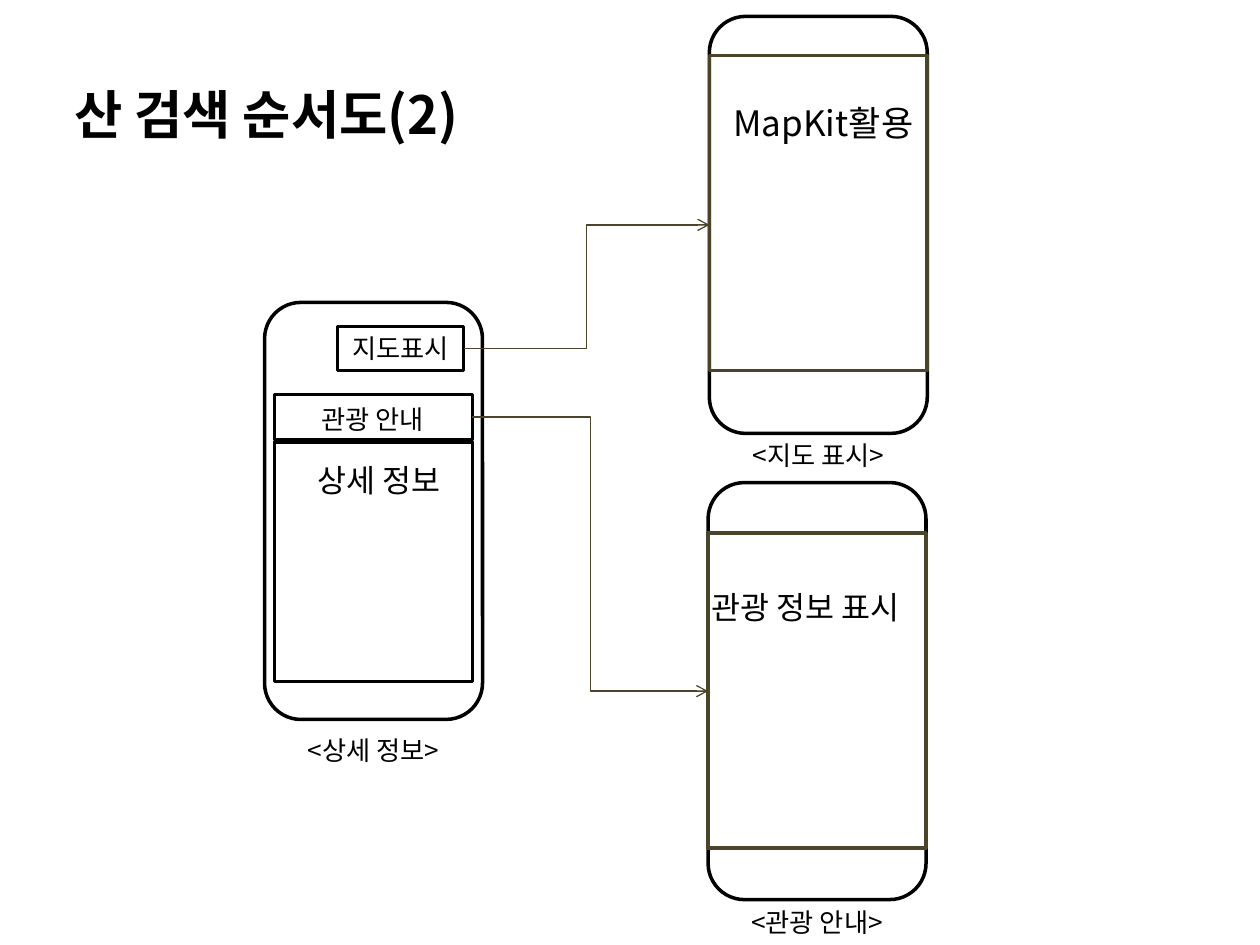
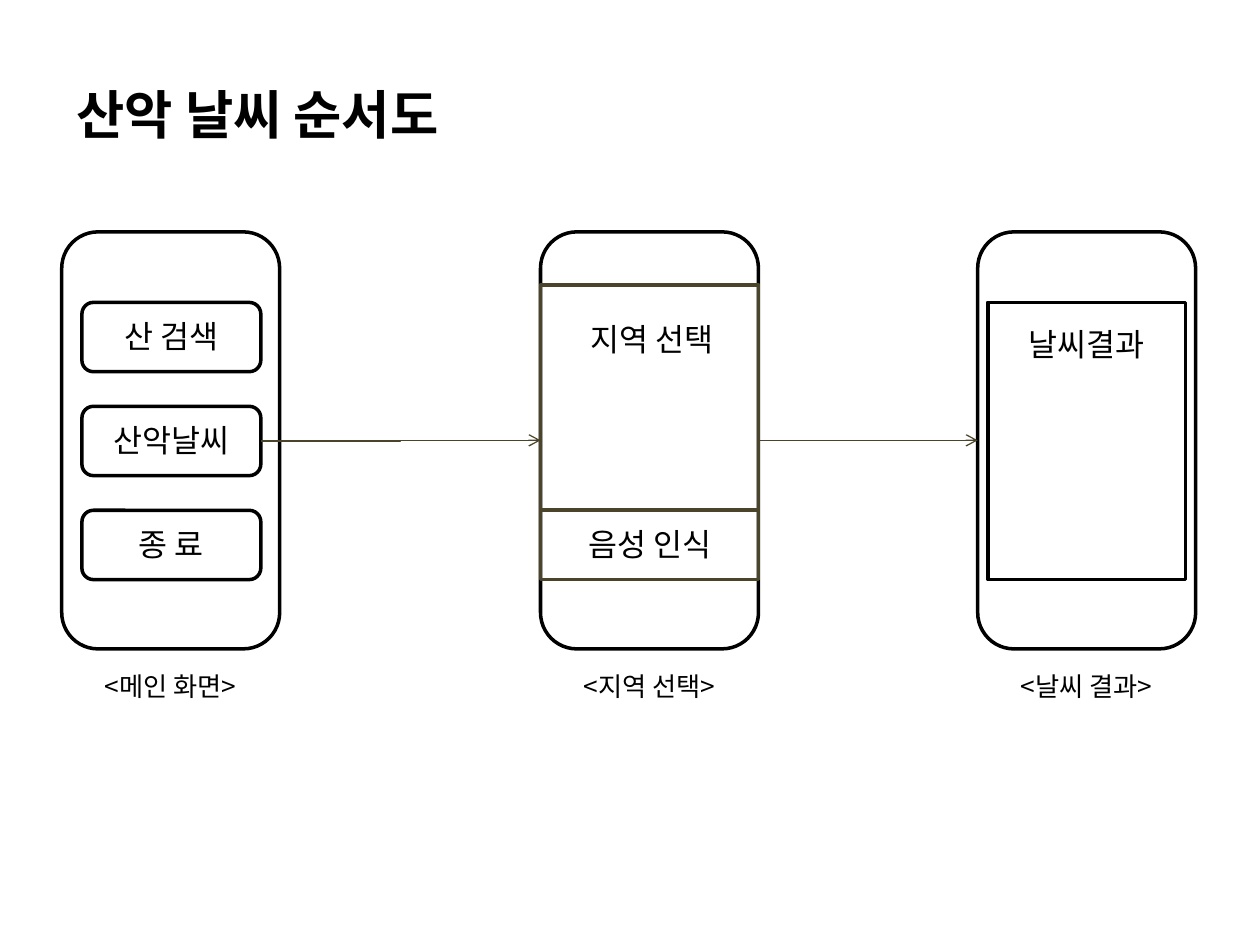
from lxml import etree
from pptx import Presentation
from pptx.dml.color import RGBColor
from pptx.enum.shapes import MSO_CONNECTOR, MSO_SHAPE
from pptx.enum.text import MSO_AUTO_SIZE, PP_ALIGN
from pptx.oxml.ns import qn
from pptx.util import Inches, Pt

RECT = MSO_SHAPE.RECTANGLE
ROUNDED = MSO_SHAPE.ROUNDED_RECTANGLE
ELBOW = MSO_CONNECTOR.ELBOW
LEFT, CENTER = PP_ALIGN.LEFT, PP_ALIGN.CENTER
GROW = MSO_AUTO_SIZE.SHAPE_TO_FIT_TEXT
LEFT_SIDE, RIGHT_SIDE = 1, 3

BLACK = RGBColor(0x00, 0x00, 0x00)
OLIVE = RGBColor(0x4A, 0x45, 0x2A)
FONT = "Noto Sans CJK KR"
TITLE_SIZE, SCREEN_SIZE, CAPTION_SIZE = 30, 18, 15
PHONE_W, PHONE_H = 1.73, 3.31


def add_outline(slide, preset, left, top, width, height, color=BLACK):
    outline = slide.shapes.add_shape(
        preset, Inches(left), Inches(top), Inches(width), Inches(height))
    outline.shadow.inherit = False
    outline.fill.background()
    outline.line.color.rgb = color
    outline.line.width = Pt(2)
    return outline


def add_label(slide, text, left, top, width, height, size, align=CENTER, bold=False):
    frame = slide.shapes.add_textbox(
        Inches(left), Inches(top), Inches(width), Inches(height)).text_frame
    frame.word_wrap = True
    frame.auto_size = GROW
    paragraph = frame.paragraphs[0]
    paragraph.text = text
    paragraph.alignment = align
    font = paragraph.font
    font.name = FONT
    font.size = Pt(size)
    font.bold = bold
    font.color.rgb = BLACK
    defaults = paragraph._p.get_or_add_pPr().get_or_add_defRPr()
    etree.SubElement(defaults, qn("a:ea"), typeface=FONT)


prs = Presentation()
prs.slide_width = Inches(10)
prs.slide_height = Inches(7.5)
blank = prs.slide_layouts[6]
search = prs.slides.add_slide(blank)
weather = prs.slides.add_slide(blank)

for slide, title, left, width in [
    (search, "산 검색 순서도(2)", 0.49, 3.7),
    (weather, "산악 날씨 순서도", 0.51, 4.45),
]:
    add_label(slide, title, left, 0.6, width, 0.61, TITLE_SIZE, LEFT, True)

phones = {}
for slide, caption, left, top, caption_top in [
    (search, "<상세 정보>", 2.1, 2.4, 5.78),
    (search, "<지도 표시>", 5.63, 0.13, 3.44),
    (search, "<관광 안내>", 5.62, 3.83, 7.14),
    (weather, "<메인 화면>", 0.49, 1.84, 5.27),
    (weather, "<지역 선택>", 4.29, 1.84, 5.27),
    (weather, "<날씨 결과>", 7.76, 1.84, 5.27),
]:
    phones[caption] = add_outline(slide, ROUNDED, left, top, PHONE_W, PHONE_H)
    add_label(slide, caption, left, caption_top, PHONE_W, 0.35, CAPTION_SIZE)

map_button = add_outline(search, RECT, 2.68, 2.59, 1, 0.35)
tour_button = add_outline(search, RECT, 2.18, 3.13, 1.57, 0.36)
add_outline(search, RECT, 2.18, 3.51, 1.57, 1.9)
add_outline(search, RECT, 5.63, 0.44, PHONE_W, 2.5, OLIVE)
add_outline(search, RECT, 5.62, 4.23, PHONE_W, 2.5, OLIVE)
add_label(search, "지도표시", 2.63, 2.59, 1.1, 0.35, CAPTION_SIZE)
add_label(search, "관광 안내", 2.25, 3.15, 1.42, 0.35, CAPTION_SIZE)
add_label(search, "상세 정보", 2.22, 3.61, 1.57, 0.4, SCREEN_SIZE)
add_label(search, "MapKit활용", 5.63, 0.76, 1.81, 0.44, 20)
add_label(search, "관광 정보 표시", 5.55, 4.62, 1.96, 0.4, SCREEN_SIZE, LEFT)

menu = {}
for row, item in enumerate(["산 검색", "산악날씨", "종 료"]):
    top = 2.4 + row * 0.825
    menu[item] = add_outline(weather, ROUNDED, 0.65, top, 1.42, 0.55)
    add_label(weather, item, 0.65, top + 0.07, 1.42, 0.4, SCREEN_SIZE)

add_outline(weather, RECT, 4.29, 2.26, PHONE_W, 1.79, OLIVE)
add_outline(weather, RECT, 4.29, 4.05, PHONE_W, 0.55, OLIVE)
add_outline(weather, RECT, 7.84, 2.4, 1.57, 2.2)
add_label(weather, "지역 선택", 4.39, 2.49, 1.57, 0.4, SCREEN_SIZE)
add_label(weather, "음성 인식", 4.37, 4.12, 1.57, 0.4, SCREEN_SIZE)
add_label(weather, "날씨결과", 7.84, 2.53, 1.57, 0.4, SCREEN_SIZE)

for slide, source, target in [
    (search, map_button, phones["<지도 표시>"]),
    (search, tour_button, phones["<관광 안내>"]),
    (weather, menu["산악날씨"], phones["<지역 선택>"]),
    (weather, phones["<지역 선택>"], phones["<날씨 결과>"]),
]:
    flow = slide.shapes.add_connector(
        ELBOW,
        source.left + source.width, source.top + source.height // 2,
        target.left, target.top + target.height // 2)
    flow.begin_connect(source, RIGHT_SIDE)
    flow.end_connect(target, LEFT_SIDE)
    flow.line.color.rgb = OLIVE
    flow.line.width = Pt(0.75)
    etree.SubElement(flow.line._get_or_add_ln(), qn("a:tailEnd"), type="arrow")
    etree.SubElement(flow._element.spPr, qn("a:effectLst"))

prs.save("out.pptx")
